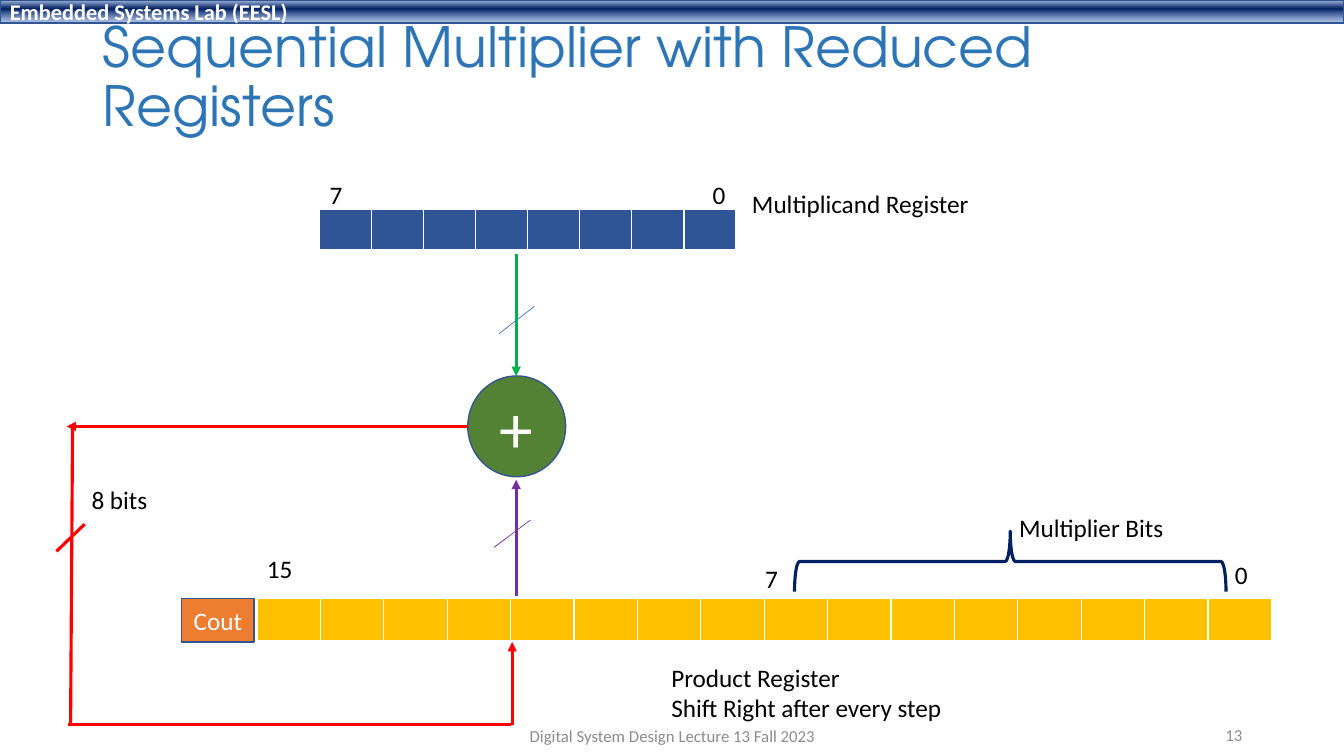
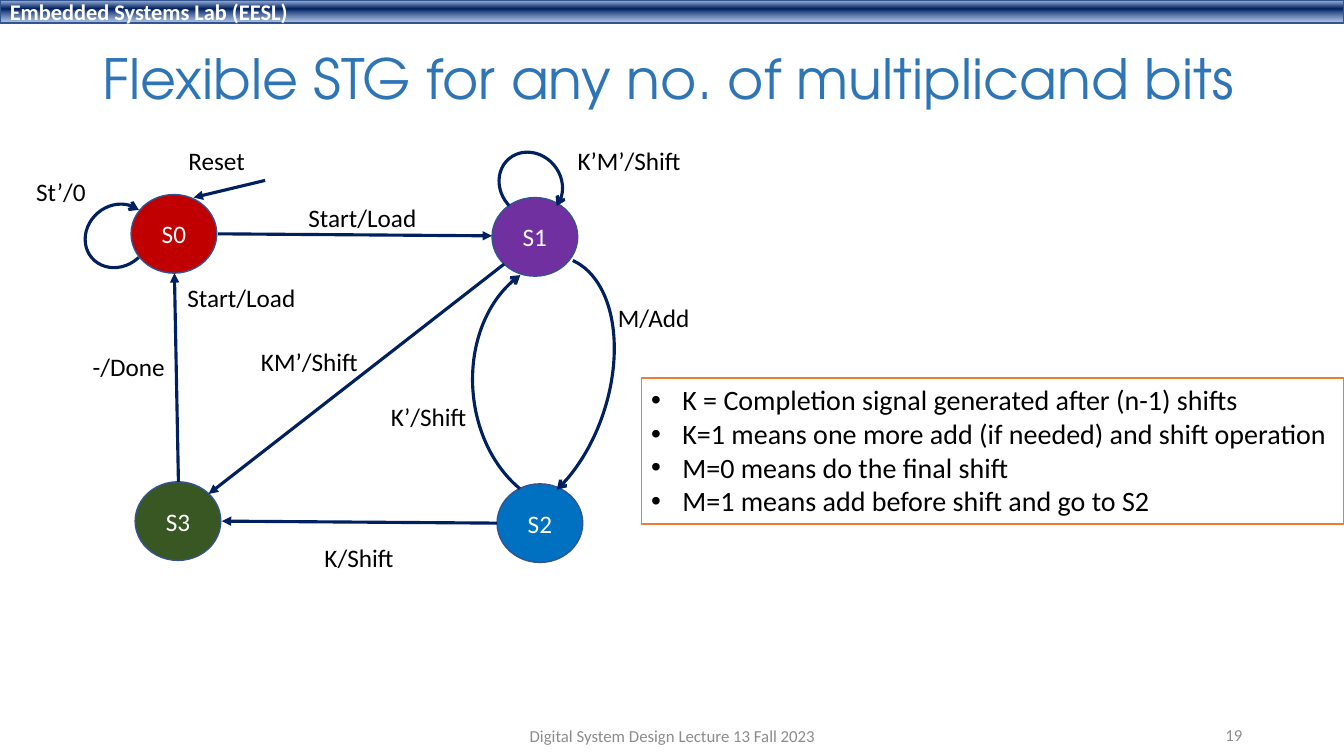
from lxml.etree import SubElement
from pptx import Presentation
from pptx.dml.color import RGBColor
from pptx.enum.shapes import MSO_CONNECTOR, MSO_SHAPE
from pptx.enum.text import MSO_ANCHOR, PP_ALIGN
from pptx.oxml.ns import qn
from pptx.util import Inches, Pt

HUES = {
    "white": "FFFFFF", "black": "000000", "grey": "8C8C8C", "title": "2E75B6",
    "edge": "325491", "navy": "002060", "pale": "ABC0E4", "mist": "7E9ED6",
    "blue": "2F5597", "thin": "4472C4", "sky": "0070C0", "gold": "FFC000",
    "orange": "ED7D31", "red": "FF0000", "brick": "C00000", "lime": "00B050",
    "leaf": "548235", "forest": "385723", "purple": "7030A0",
}
BODY, HEAD = "Calibri", "TeX Gyre Adventor"
LEFT, MID, RIGHT = PP_ALIGN.LEFT, PP_ALIGN.CENTER, PP_ALIGN.RIGHT


def rgb(hue):
    return RGBColor.from_string(HUES[hue])


def inch(vals):
    return [Inches(val) for val in vals]


class Deck:
    def __init__(self):
        self.prs = Presentation()
        self.prs.slide_width, self.prs.slide_height = inch((13.33, 7.5))
        self.slide = None

    def start(self, title, box, page):
        """Add a slide with its band, title and footer."""
        self.slide = self.prs.slides.add_slide(self.prs.slide_layouts[6])
        self.band("Embedded Systems Lab (EESL)")
        head = self.text(title, box, 39.6, "title", font=HEAD, wrap=True,
                         anchor=MSO_ANCHOR.MIDDLE)
        head.text_frame.paragraphs[0].line_spacing = 0.9
        feet = (("Digital System Design Lecture 13 Fall 2023",
                 (4.42, 7.1, 4.5, 0.4), MID),
                (page, (9.42, 7.09, 3, 0.4), RIGHT))
        for words, place, align in feet:
            self.text(words, place, 12, "grey", align, wrap=True,
                      anchor=MSO_ANCHOR.MIDDLE)

    def band(self, words):
        bar = self.shape(MSO_SHAPE.RECTANGLE, (0, 0, 13.33, 0.23), "navy")
        bar.fill.gradient()
        bar.fill.gradient_angle = 270
        stops = bar._element.spPr.find(qn("a:gradFill")).find(qn("a:gsLst"))
        for stop in list(stops):
            stops.remove(stop)
        for spot, hue, alpha in ((2, "pale", 100), (38, "navy", 100),
                                 (93, "mist", 64)):
            stop = SubElement(stops, qn("a:gs"), pos=str(spot * 1000))
            tint = SubElement(stop, qn("a:srgbClr"), val=HUES[hue])
            if alpha < 100:
                SubElement(tint, qn("a:alpha"), val=str(alpha * 1000))
        self.letter(bar, words, 16, "white", LEFT, bold=True)

    def letter(self, shape, words, size, hue, align, font=BODY, bold=False):
        """Fill a shape with text in one style."""
        shape.text_frame.text = words
        for para in shape.text_frame.paragraphs:
            para.alignment = align
            for run in para.runs:
                run.font.name, run.font.size = font, Pt(size)
                run.font.bold = bold
                run.font.color.rgb = rgb(hue)

    def text(self, words, box, size=18, hue="black", align=LEFT, font=BODY,
             wrap=False, anchor=MSO_ANCHOR.TOP):
        shape = self.slide.shapes.add_textbox(*inch(box))
        shape.text_frame.word_wrap = wrap
        shape.text_frame.vertical_anchor = anchor
        self.letter(shape, words, size, hue, align, font)
        return shape

    def labels(self, rows):
        """Place one-line labels given as words, left, top and width."""
        for words, left, top, width in rows:
            self.text(words, (left, top, width, 0.4))

    def stroke(self, shape, hue, width, tail=None):
        shape.line.color.rgb = rgb(hue)
        shape.line.width = Pt(width)
        if tail:
            SubElement(shape._element.spPr.find(qn("a:ln")),
                       qn("a:tailEnd"), type=tail)

    def shape(self, kind, box, fill=None, edge="edge", width=1, tail=None):
        shape = self.slide.shapes.add_shape(kind, *inch(box))
        shape.shadow.inherit = False
        if fill:
            shape.fill.solid()
            shape.fill.fore_color.rgb = rgb(fill)
        else:
            shape.fill.background()
        self.stroke(shape, edge, width, tail)
        return shape

    def node(self, words, box, fill, kind=MSO_SHAPE.OVAL, size=18):
        shape = self.shape(kind, box, fill)
        shape.text_frame.vertical_anchor = MSO_ANCHOR.MIDDLE
        self.letter(shape, words, size, "white", MID)

    def line(self, tip, end, hue, width=2.25, tail=None):
        link = self.slide.shapes.add_connector(
            MSO_CONNECTOR.STRAIGHT, *inch(tip + end))
        self.stroke(link, hue, width, tail)
        SubElement(link._element.spPr, qn("a:effectLst"))

    def arrow(self, tip, end, hue):
        self.line(tip, end, hue, tail="triangle")

    def arc(self, box, turn, span):
        """Draw a curved arrow; span holds the two raw adjustments."""
        curve = self.shape(MSO_SHAPE.ARC, box, None, "navy", 2.25, "arrow")
        curve.rotation = turn
        for spot, val in enumerate(span):
            curve.adjustments[spot] = val

    def cells(self, count, box, fill):
        """Draw a register as a one-row table."""
        table = self.slide.shapes.add_table(1, count, *inch(box)).table
        for col in table.columns:
            col.width = Inches(box[2] / count)
        for cell in table.rows[0].cells:
            props = cell._tc.get_or_add_tcPr()
            for side, width in (("L", 1), ("R", 1), ("T", 1), ("B", 3)):
                rim = SubElement(props, qn("a:ln" + side), w=str(Pt(width)))
                paint = SubElement(rim, qn("a:solidFill"))
                SubElement(paint, qn("a:srgbClr"), val=HUES["white"])
            cell.fill.solid()
            cell.fill.fore_color.rgb = rgb(fill)

    def notes(self, lines, box):
        """Draw a framed list with bullets."""
        frame = self.shape(MSO_SHAPE.RECTANGLE, box, "white", "orange")
        frame.text_frame.word_wrap = False
        frame.text_frame.vertical_anchor = MSO_ANCHOR.TOP
        self.letter(frame, "\n".join(lines), 20, "black", LEFT)
        for para in frame.text_frame.paragraphs:
            props = para._p.get_or_add_pPr()
            props.set("marL", str(Inches(0.31)))
            props.set("indent", str(-Inches(0.31)))
            SubElement(props, qn("a:buFont"), typeface="Arial")
            SubElement(props, qn("a:buChar"), char="•")


def adder(deck):
    deck.start("Sequential Multiplier with Reduced Registers",
               (0.92, 0.15, 11.5, 1.27), "13")
    deck.cells(8, (3.17, 2.08, 4.13, 0.41), "blue")
    deck.cells(16, (2.55, 5.94, 10.06, 0.43), "gold")
    deck.node("+", (4.64, 3.73, 0.97, 1), "leaf", size=48)
    deck.node("Cout", (1.8, 5.94, 0.72, 0.43), "orange", MSO_SHAPE.RECTANGLE)

    deck.arrow((5.12, 2.52), (5.12, 3.73), "lime")
    deck.arrow((5.12, 5.91), (5.12, 4.76), "purple")
    deck.arrow((4.64, 4.23), (0.66, 4.23), "red")
    deck.line((0.72, 4.23), (0.7, 7.19), "red")
    deck.line((5.07, 7.19), (0.67, 7.19), "red")
    deck.arrow((5.08, 7.19), (5.08, 6.37), "red")
    deck.line((0.56, 5.47), (0.84, 5.2), "red")
    deck.line((4.95, 3.31), (5.3, 3.04), "thin", 0.5)
    deck.line((4.9, 5.43), (5.26, 5.16), "purple", 0.5)

    brace = deck.shape(MSO_SHAPE.RIGHT_BRACE, (9.72, 3.43, 0.6, 4.28),
                       None, "navy", 2.25)
    brace.rotation = 270
    deck.labels((
        ("7", 3.17, 1.73, 0.33), ("0", 6.97, 1.73, 0.33),
        ("0", 12.15, 5.5, 0.33), ("7", 7.49, 5.54, 0.33),
        ("15", 2.55, 5.44, 0.46), ("8 bits", 0.81, 4.76, 0.76),
        ("Multiplicand Register", 7.36, 1.82, 2.38),
        ("Multiplier Bits", 10.01, 5.03, 1.65),
    ))
    deck.text("Product Register\nShift Right after every step",
              (6.56, 6.52, 2.92, 0.71))


def states(deck):
    deck.start("Flexible STG for any no. of multiplicand bits",
               (0.92, 0.12, 11.5, 1.37), "19")
    for name, left, top, fill in (
            ("S0", 1.3, 1.93, "brick"), ("S1", 4.88, 1.96, "purple"),
            ("S2", 4.93, 4.8, "sky"), ("S3", 1.34, 4.78, "forest")):
        deck.node(name, (left, top, 0.85, 0.78), fill)
    for tip, end in (((2.63, 1.79), (1.92, 1.96)),
                     ((2.16, 2.32), (4.88, 2.34)),
                     ((5, 2.62), (2.07, 4.9)),
                     ((4.93, 5.19), (2.2, 5.17)),
                     ((1.77, 4.78), (1.73, 2.71))):
        deck.arrow(tip, end, "navy")

    loop = (159.7, 102.03)
    deck.arc((4.93, 1.53, 0.67, 0.6), 229.8, loop)
    deck.arc((0.83, 2.04, 0.67, 0.6), 139.4, loop)
    deck.arc((4.42, 2.85, 2.48, 1.94), 264.6, (126.91, 204.48))
    deck.arc((3.89, 3.02, 2.66, 1.62), 107.9, (109.44, 195.4))

    deck.notes(("K = Completion signal generated after (n-1) shifts",
                "K=1 means one more add (if needed) and shift operation",
                "M=0 means do the final shift",
                "M=1 means add before shift and go to S2"),
               (6.36, 3.75, 6.97, 1.45))
    deck.labels((
        ("Reset", 1.77, 1.39, 0.77), ("St’/0", 0.26, 1.7, 0.7),
        ("Start/Load", 2.96, 1.96, 1.28), ("Start/Load", 1.76, 2.75, 1.28),
        ("-/Done", 0.82, 3.44, 0.93), ("M/Add", 6.03, 2.95, 0.92),
        ("K’/Shift", 3.78, 3.93, 0.96), ("K/Shift", 3.12, 5.33, 0.9),
        ("KM’/Shift", 2.49, 3.39, 1.18), ("K’M’/Shift", 5.63, 1.39, 1.24),
    ))


def main():
    deck = Deck()
    adder(deck)
    states(deck)
    deck.prs.save("out.pptx")


if __name__ == "__main__":
    main()
